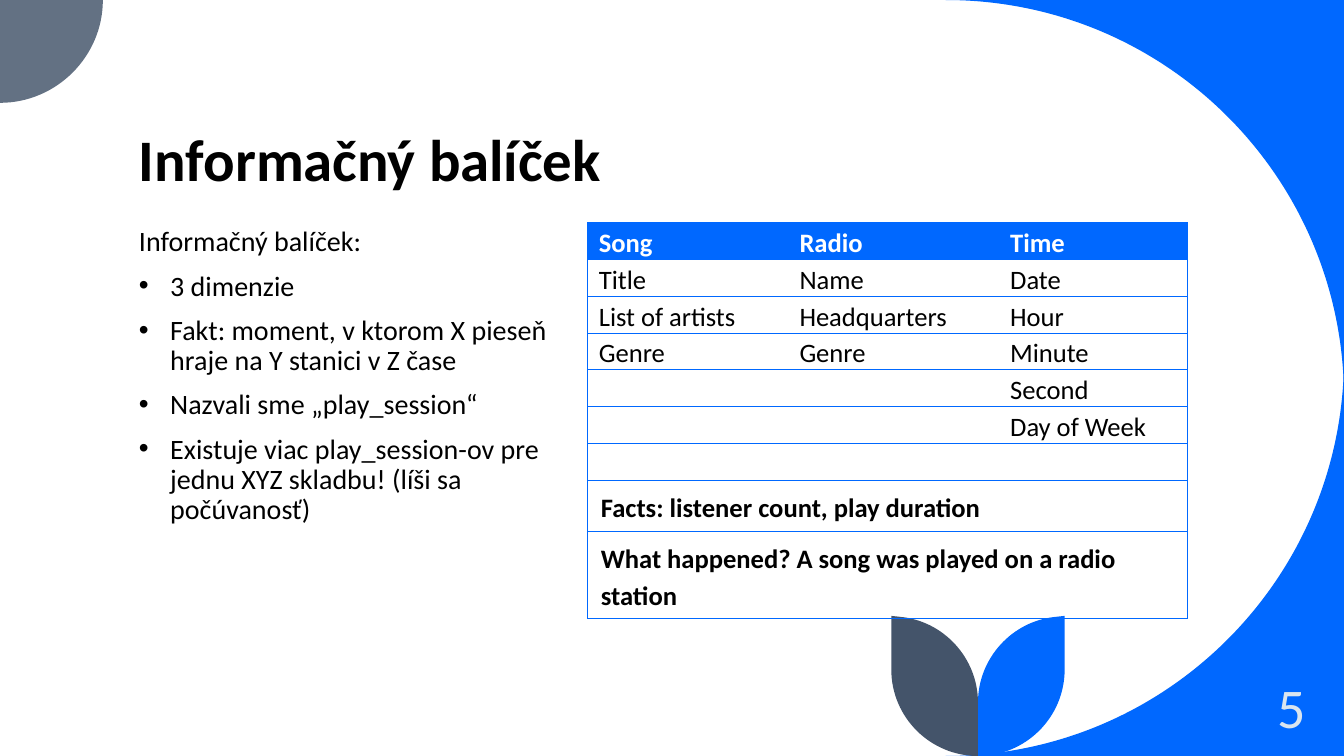
import pptx
import pptx.dml.color
import pptx.enum.text
import pptx.oxml
import pptx.oxml.ns
import pptx.util
from pptx.util import Inches, Pt

BLUE, SLATE, GREY = "0068FF", "44546A", "637183"
BLACK, WHITE, PALE = "000000", "FFFFFF", "DAE5EF"
FONT = "Calibri"

TITLE = "Informačný balíček"
INTRO = "Informačný balíček:"
BULLETS = [
    "3 dimenzie",
    "Fakt: moment, v ktorom X pieseň hraje na Y stanici v Z čase",
    "Nazvali sme „play_session“",
    "Existuje viac play_session-ov pre jednu XYZ skladbu! (líši sa počúvanosť)",
]
DIMENSIONS = [
    ("Song", "Radio", "Time"),
    ("Title", "Name", "Date"),
    ("List of artists", "Headquarters", "Hour"),
    ("Genre", "Genre", "Minute"),
    ("", "", "Second"),
    ("", "", "Day of Week"),
    ("", "", ""),
]
SUMMARY = [
    "Facts: listener count, play duration",
    "What happened? A song was played on a radio station",
]
PAGE = "5"
COLUMNS = [1.99, 2.09, 1.87]
ROWS = [0.34 if any(texts) else 0.37 for texts in DIMENSIONS] + [0.49, 0.84]

CORNER_TOP = [(13.33, 0), (9.38, 0), (11.57, 0, 13.33, 1.77, 13.33, 3.95)]
CORNER_BOTTOM = [(13.33, 3.55), (13.33, 5.73, 11.57, 7.5, 9.38, 7.5), (13.33, 7.5)]
QUARTER = [(0, 0), (1.02, 0), (1.02, 0.56, 0.56, 1.02, 0, 1.02)]
STEM = 9.7
LEAF = [(10.56, 6.11), (10.56, 6.64), (10.56, 7.12, 10.17, 7.5, STEM, 7.5),
        (STEM, 6.97), (STEM, 6.53, 10.04, 6.16, 10.47, 6.12)]


def rgb(color):
    return pptx.dml.color.RGBColor.from_string(color)


def mirror(path):
    return [tuple(2 * STEM - v if i % 2 == 0 else v for i, v in enumerate(step))
            for step in path]


def add_outline(path, color):
    points = [(Inches(step[i]), Inches(step[i + 1]))
              for step in path for i in range(0, len(step), 2)]
    builder = s.shapes.build_freeform(*points[0])
    builder.add_line_segments(points[1:], close=True)
    sp = builder.convert_to_shape()
    segments = iter(sp._element.findall(".//" + pptx.oxml.ns.qn("a:lnTo")))
    for step in path[1:]:
        parts = [next(segments) for _ in range(len(step) // 2)]
        if len(parts) == 3:
            curve = pptx.oxml.parse_xml(
                f'<a:cubicBezTo {pptx.oxml.ns.nsdecls("a")}/>')
            parts[0].addprevious(curve)
            for part in parts:
                curve.append(part[0])
                part.getparent().remove(part)
    sp.shadow.inherit = False
    sp.fill.solid()
    sp.fill.fore_color.rgb = rgb(color)
    sp.line.fill.background()


def style(p, text, size, color=BLACK, bold=False, spacing=None):
    p.text = text
    p.font.name, p.font.size, p.font.bold = FONT, Pt(size), bold
    p.font.color.rgb = rgb(color)
    p.line_spacing = spacing


def add_text(left, top, width, height, anchor):
    sp = s.shapes.add_textbox(*map(Inches, (left, top, width, height)))
    tf = sp.text_frame
    tf.word_wrap = True
    tf.vertical_anchor = anchor
    return tf


def add_bullet(p):
    pPr = p._p.get_or_add_pPr()
    pPr.set("marL", str(Inches(0.31)))
    pPr.set("indent", str(-Inches(0.31)))
    for tag in ('buFont typeface="Arial"', 'buChar char="•"'):
        bullet = pptx.oxml.parse_xml(f'<a:{tag} {pptx.oxml.ns.nsdecls("a")}/>')
        pPr.insert_element_before(bullet, "a:tabLst", "a:defRPr", "a:extLst")


def set_borders(cell, sides):
    tcPr = cell._tc.get_or_add_tcPr()
    for side in "LRTB":
        paint = (f'<a:solidFill><a:srgbClr val="{BLUE}"/></a:solidFill>'
                 if side in sides else "<a:noFill/>")
        tcPr.append(pptx.oxml.parse_xml(
            f'<a:ln{side} {pptx.oxml.ns.nsdecls("a")} w="{Pt(0.5)}">{paint}</a:ln{side}>'))


def fill_cell(cell, row, col, text):
    header, summary = row == 0, row >= len(DIMENSIONS)
    last = summary or col == len(COLUMNS) - 1
    set_borders(cell, "TB" + ("L" if col == 0 else "") + ("R" if last else ""))
    if header:
        cell.fill.solid()
        cell.fill.fore_color.rgb = rgb(BLUE)
    else:
        cell.fill.background()
    cell.margin_left = cell.margin_right = Inches(0.13 if summary else 0.11)
    cell.margin_top = cell.margin_bottom = Inches(0.07 if summary else 0)
    p = cell.text_frame.paragraphs[0]
    style(p, text, 19, WHITE if header else BLACK, header or summary, 1.15)
    p.space_after = Pt(8)


prs = pptx.Presentation()
prs.slide_width, prs.slide_height = Inches(13.33), Inches(7.5)
s = prs.slides.add_slide(prs.slide_layouts[6])
ANCHOR = pptx.enum.text.MSO_ANCHOR

for path, color in [(CORNER_TOP, BLUE), (CORNER_BOTTOM, BLUE), (QUARTER, GREY),
                    (LEAF, BLUE), (mirror(LEAF), SLATE)]:
    add_outline(path, color)

tf = add_text(1.28, 0.15, 10.5, 1.81, ANCHOR.BOTTOM)
style(tf.paragraphs[0], TITLE, 42, bold=True, spacing=0.8)

tf = add_text(1.28, 2.21, 4.55, 3.64, ANCHOR.TOP)
for i, text in enumerate([INTRO] + BULLETS):
    p = tf.add_paragraph() if i else tf.paragraphs[0]
    style(p, text, 20, spacing=0.9)
    p.space_before = Pt(10)
    if i:
        add_bullet(p)

table = s.shapes.add_table(len(ROWS), len(COLUMNS), Inches(5.83), Inches(2.21),
                           Inches(sum(COLUMNS)), Inches(sum(ROWS))).table
table.first_row = table.horz_banding = False
for column, width in zip(table.columns, COLUMNS):
    column.width = Inches(width)
for row, height in zip(table.rows, ROWS):
    row.height = Inches(height)
for r, texts in enumerate(DIMENSIONS):
    for c, text in enumerate(texts):
        fill_cell(table.cell(r, c), r, c, text)
for r, text in enumerate(SUMMARY, len(DIMENSIONS)):
    table.cell(r, 0).merge(table.cell(r, len(COLUMNS) - 1))
    fill_cell(table.cell(r, 0), r, 0, text)

tf = add_text(11.24, 6.81, 1.81, 0.4, ANCHOR.MIDDLE)
style(tf.paragraphs[0], PAGE, 40, PALE)
tf.paragraphs[0].alignment = pptx.enum.text.PP_ALIGN.RIGHT

prs.save("out.pptx")
